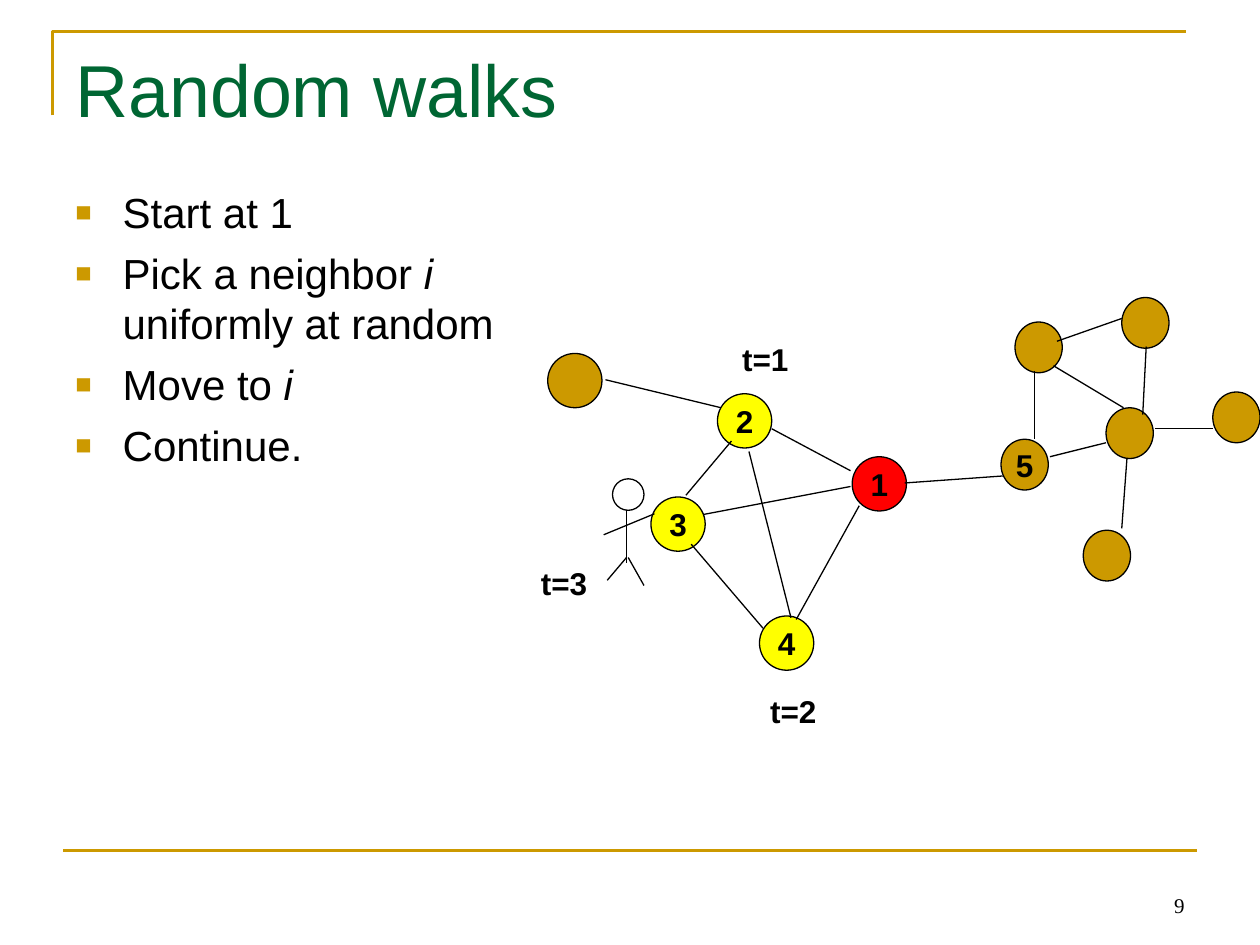
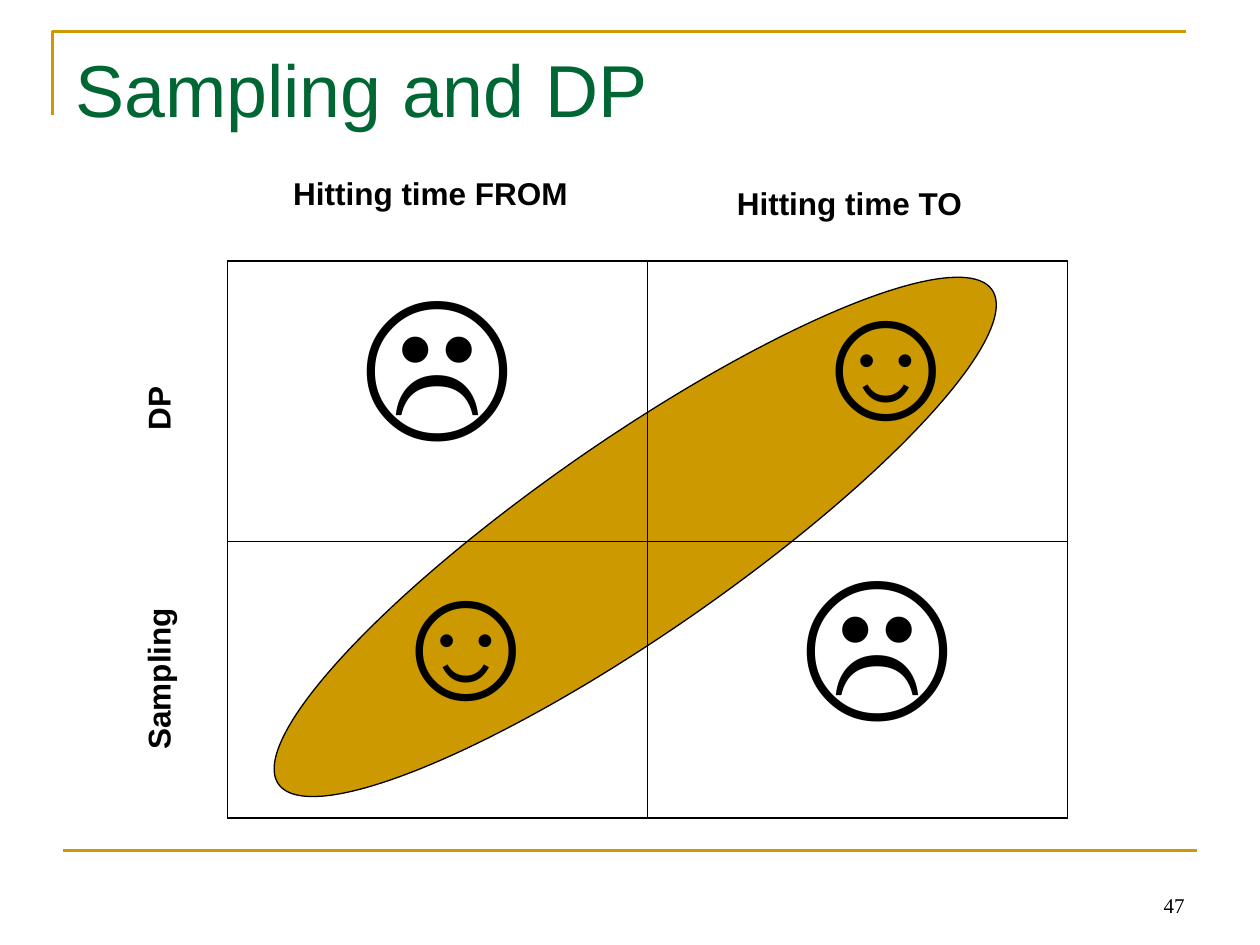
from dataclasses import dataclass

from lxml import etree
from pptx import Presentation
from pptx.dml.color import RGBColor
from pptx.enum.shapes import MSO_CONNECTOR, MSO_SHAPE
from pptx.enum.text import MSO_ANCHOR, PP_ALIGN
from pptx.oxml.ns import qn
from pptx.util import Pt

STRAIGHT = MSO_CONNECTOR.STRAIGHT
OVAL = MSO_SHAPE.OVAL
TOP, MIDDLE, BOTTOM = MSO_ANCHOR.TOP, MSO_ANCHOR.MIDDLE, MSO_ANCHOR.BOTTOM
LEFT, CENTER, RIGHT = PP_ALIGN.LEFT, PP_ALIGN.CENTER, PP_ALIGN.RIGHT


@dataclass(frozen=True)
class Theme:
    gold: RGBColor = RGBColor(0xCC, 0x99, 0x00)
    green: RGBColor = RGBColor(0x00, 0x66, 0x33)
    yellow: RGBColor = RGBColor(0xFF, 0xFF, 0x00)
    red: RGBColor = RGBColor(0xFF, 0x00, 0x00)
    black: RGBColor = RGBColor(0x00, 0x00, 0x00)
    font: str = "Arial"
    number_font: str = "Times New Roman"
    title_size: float = 42
    body_size: float = 24
    label_size: float = 18
    number_size: float = 12
    face_size: float = 96
    rule: float = 1.5
    thin: float = 0.75
    grid_outer: float = 1.08
    grid_inner: float = 0.45


THEME = Theme()

# Positions on the walk are relative to the graph box.
BIG_NODE, SMALL_NODE = (31, 31), (27, 29)
NODES = [
    (0, 32, BIG_NODE, THEME.gold, ""),
    (97, 55, BIG_NODE, THEME.yellow, "2"),
    (59, 114, BIG_NODE, THEME.yellow, "3"),
    (121, 182, BIG_NODE, THEME.yellow, "4"),
    (174, 91, BIG_NODE, THEME.red, "1"),
    (328, 0, SMALL_NODE, THEME.gold, ""),
    (267, 14, SMALL_NODE, THEME.gold, ""),
    (319, 63, SMALL_NODE, THEME.gold, ""),
    (259, 81, SMALL_NODE, THEME.gold, "5"),
    (306, 133, SMALL_NODE, THEME.gold, ""),
    (380, 54, SMALL_NODE, THEME.gold, ""),
]
EDGES = [
    (33, 47, 99, 63), (128, 75, 173, 99), (142, 184, 178, 119),
    (82, 141, 123, 189), (204, 106, 260, 102), (278, 42, 278, 81),
    (287, 91, 319, 83), (331, 92, 328, 132), (347, 75, 380, 75),
    (289, 39, 329, 63), (291, 25, 328, 12), (79, 113, 105, 82),
    (115, 88, 139, 183), (342, 28, 340, 67), (173, 108, 89, 124),
]
STEPS = [("t=1", 104, 21), ("t=2", 120, 222), ("t=3", -11, 149)]
WALKER_LIMBS = [(0, 32, 29, 20), (13, 45, 2, 58), (13, 18, 13, 48), (14, 45, 23, 61)]

WALK_RULES = [
    [("Start at 1", False)],
    [("Pick a neighbor ", False), ("i", True), (" uniformly at random", False)],
    [("Move to ", False), ("i", True)],
    [("Continue.", False)],
]

FACES = [
    [("☹", CENTER, 0), ("☺", LEFT, 80)],
    [("☺", LEFT, 80), ("☹", LEFT, 80)],
]


def set_font(paragraph, size, color=THEME.black, bold=False, name=THEME.font):
    font = paragraph.font
    font.name, font.size, font.bold = name, Pt(size), bold
    font.color.rgb = color


def add_text(slide, text, box, size, color=THEME.black, bold=False,
             name=THEME.font, align=LEFT, anchor=TOP):
    text_box = slide.shapes.add_textbox(*map(Pt, box))
    frame = text_box.text_frame
    frame.word_wrap = True
    frame.vertical_anchor = anchor
    paragraph = frame.paragraphs[0]
    paragraph.text = text
    paragraph.alignment = align
    set_font(paragraph, size, color, bold, name)
    return text_box


def add_label(slide, text, box, rotation=0):
    add_text(slide, text, box, THEME.label_size, bold=True).rotation = rotation


def add_line(slide, ends, color=THEME.black, width=THEME.thin):
    line = slide.shapes.add_connector(STRAIGHT, *map(Pt, ends))
    line.line.color.rgb = color
    line.line.width = Pt(width)
    properties = line._element.spPr
    etree.SubElement(properties, qn("a:effectLst"))


def add_segments(slide, left, top, segments):
    for x1, y1, x2, y2 in segments:
        add_line(slide, (left + x1, top + y1, left + x2, top + y2))


def add_ellipse(slide, box, fill=None):
    ellipse = slide.shapes.add_shape(OVAL, *map(Pt, box))
    ellipse.shadow.inherit = False
    if fill is None:
        ellipse.fill.background()
    else:
        ellipse.fill.solid()
        ellipse.fill.fore_color.rgb = fill
    ellipse.line.color.rgb = THEME.black
    ellipse.line.width = Pt(THEME.thin)
    return ellipse


def add_slide_frame(prs, title, number):
    """Add a blank slide with the gold rules, title and page number."""
    slide = prs.slides.add_slide(prs.slide_layouts[6])
    builder = slide.shapes.build_freeform(Pt(30), Pt(66))
    builder.add_line_segments([(Pt(30), Pt(18)), (Pt(678), Pt(18))], close=False)
    corner = builder.convert_to_shape()
    corner.shadow.inherit = False
    corner.fill.background()
    corner.line.color.rgb = THEME.gold
    corner.line.width = Pt(THEME.rule)
    add_line(slide, (36, 486, 684, 486), THEME.gold, THEME.rule)
    add_text(slide, title, (36, 21.6, 648, 90), THEME.title_size, THEME.green)
    add_text(slide, str(number), (516, 492, 168, 36), THEME.number_size,
             name=THEME.number_font, align=RIGHT, anchor=BOTTOM)
    return slide


def add_bullet(paragraph):
    properties = paragraph._p.get_or_add_pPr()
    properties.set("marL", str(Pt(27)))
    properties.set("indent", str(Pt(-27)))
    color = etree.SubElement(properties, qn("a:buClr"))
    etree.SubElement(color, qn("a:srgbClr"), val=str(THEME.gold))
    etree.SubElement(properties, qn("a:buSzPct"), val="65000")
    etree.SubElement(properties, qn("a:buFont"), typeface=THEME.font)
    etree.SubElement(properties, qn("a:buChar"), char="■")


def add_walk_rules(slide, box):
    frame = slide.shapes.add_textbox(*map(Pt, box)).text_frame
    frame.word_wrap = True
    for index, parts in enumerate(WALK_RULES):
        paragraph = frame.add_paragraph() if index else frame.paragraphs[0]
        paragraph.space_before = Pt(6)
        add_bullet(paragraph)
        set_font(paragraph, THEME.body_size)
        for text, italic in parts:
            run = paragraph.add_run()
            run.text = text
            if italic:
                run.font.italic = True


def add_node(slide, box, fill, text):
    node = add_ellipse(slide, box, fill)
    if text:
        frame = node.text_frame
        frame.word_wrap = False
        frame.vertical_anchor = MIDDLE
        paragraph = frame.paragraphs[0]
        paragraph.text = text
        paragraph.alignment = CENTER
        set_font(paragraph, THEME.label_size, bold=True)


def add_walker(slide, left, top):
    add_ellipse(slide, (left + 5, top, 18, 18))
    add_segments(slide, left, top, WALKER_LIMBS)


def add_graph(slide, left, top):
    for x, y, size, fill, text in NODES:
        add_node(slide, (left + x, top + y, *size), fill, text)
    add_segments(slide, left, top, EDGES)
    add_walker(slide, left + 32, top + 103.6)
    for text, x, y in STEPS:
        add_label(slide, text, (left + x, top + y, 80, 29))


def set_cell_borders(cell, widths):
    properties = cell._tc.get_or_add_tcPr()
    for side, width in widths.items():
        line = etree.SubElement(properties, qn(f"a:ln{side}"), w=str(Pt(width)))
        fill = etree.SubElement(line, qn("a:solidFill"))
        etree.SubElement(fill, qn("a:srgbClr"), val=str(THEME.black))


def add_face_grid(slide, left, top, column_width, row_heights):
    """Add the two-by-two table of faces with a heavier outer border."""
    table = slide.shapes.add_table(
        2, 2, Pt(left), Pt(top), Pt(2 * column_width), Pt(sum(row_heights))).table
    table.first_row = table.horz_banding = False
    outer, inner = THEME.grid_outer, THEME.grid_inner
    for column in table.columns:
        column.width = Pt(column_width)
    for r, height in enumerate(row_heights):
        table.rows[r].height = Pt(height)
        for c, (face, align, indent) in enumerate(FACES[r]):
            cell = table.cell(r, c)
            set_cell_borders(cell, {
                "L": inner if c else outer, "R": outer if c else inner,
                "T": inner if r else outer, "B": outer if r else inner})
            cell.fill.background()
            paragraph = cell.text_frame.paragraphs[0]
            paragraph.text = face
            paragraph.alignment = align
            paragraph.space_before = Pt(24)
            paragraph._p.get_or_add_pPr().set("marL", str(Pt(indent)))
            set_font(paragraph, THEME.face_size)


def add_comparison(slide, left, top):
    diagonal = add_ellipse(slide, (left - 15, top + 102.3, 496, 111), THEME.gold)
    diagonal.rotation = 325.3
    add_face_grid(slide, left, top, 240, (160.5, 158))
    add_label(slide, "Sampling", (left - 87.5, top + 224, 96, 29), 270)
    add_label(slide, "Hitting time FROM", (left + 30.5, top - 53.2, 189, 29))
    add_label(slide, "Hitting time TO", (left + 284, top - 47.5, 163, 29))
    add_label(slide, "DP", (left - 62, top + 67, 45, 29), 270)


def main():
    prs = Presentation()
    prs.slide_width, prs.slide_height = Pt(720), Pt(540)

    walks = add_slide_frame(prs, "Random walks", 9)
    add_walk_rules(walks, (36, 103, 265, 379))
    add_graph(walks, 313, 170)

    sampling = add_slide_frame(prs, "Sampling and DP", 47)
    add_comparison(sampling, 130, 149)

    prs.save("out.pptx")


if __name__ == "__main__":
    main()
